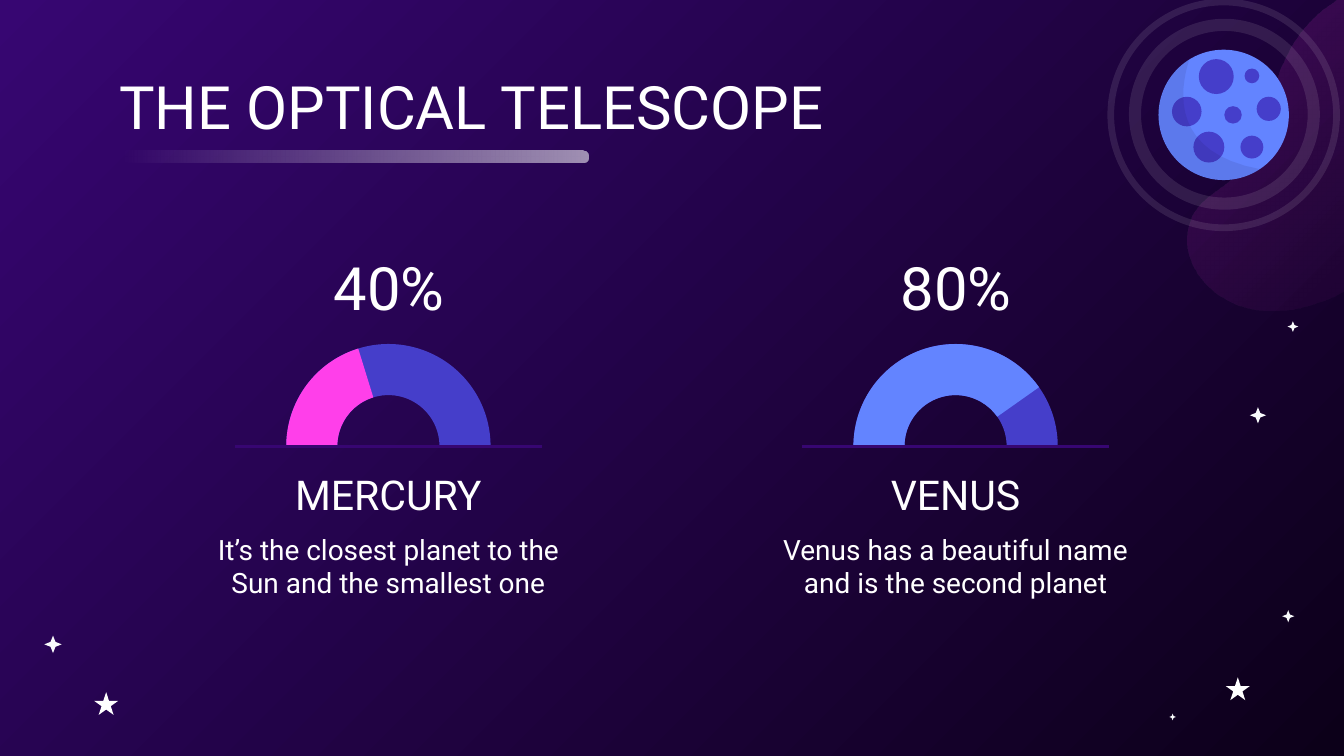
from lxml import etree
from pptx import Presentation
from pptx.dml.color import RGBColor
from pptx.enum.shapes import MSO_CONNECTOR, MSO_SHAPE
from pptx.enum.text import MSO_ANCHOR, PP_ALIGN
from pptx.oxml.ns import qn
from pptx.util import Emu, Pt

# Lengths are in px, 100 to the inch
EMU_PER_PX = 9144
WIDTH, HEIGHT = 1000, 562.5
INSET = 10
CURVE_STEPS = 16

FONT = "Roboto"
WHITE = RGBColor(0xFF, 0xFF, 0xFF)
STAR_WHITE = RGBColor(0xF9, 0xFB, 0xFC)
NIGHT = RGBColor(0x0C, 0x00, 0x19)
PURPLE = RGBColor(0x37, 0x06, 0x72)
INDIGO = RGBColor(0x45, 0x3E, 0xCA)
BLUE = RGBColor(0x63, 0x84, 0xFF)
PINK = RGBColor(0xFF, 0x3F, 0xEA)

OVAL, DONUT = MSO_SHAPE.OVAL, MSO_SHAPE.DONUT
STAR_4, STAR_5 = MSO_SHAPE.STAR_4_POINT, MSO_SHAPE.STAR_5_POINT
ARC, PILL = MSO_SHAPE.BLOCK_ARC, MSO_SHAPE.ROUNDED_RECTANGLE
STRAIGHT = MSO_CONNECTOR.STRAIGHT
LEFT, CENTER = PP_ALIGN.LEFT, PP_ALIGN.CENTER
TOP, MIDDLE, BOTTOM = MSO_ANCHOR.TOP, MSO_ANCHOR.MIDDLE, MSO_ANCHOR.BOTTOM


def px(length):
    return Emu(round(length * EMU_PER_PX))


def set_alphas(shape, alphas):
    """Give each fill colour of the shape its opacity in percent."""
    for color, alpha in zip(shape.element.iter(qn("a:srgbClr")), alphas):
        etree.SubElement(color, qn("a:alpha"), val=str(alpha * 1000))


def set_gradient(fill, colors, clockwise_angle):
    fill.gradient()
    fill.gradient_angle = (360 - clockwise_angle) % 360
    for stop, color in zip(fill.gradient_stops, colors):
        stop.color.rgb = color


def curve_points(start, curves):
    """Points along a chain of cubic Bezier curves."""
    points = [start]
    for first, second, end in curves:
        chain = (points[-1], first, second, end)
        for step in range(1, CURVE_STEPS + 1):
            t = step / CURVE_STEPS
            u = 1 - t
            weights = (u ** 3, 3 * u * u * t, 3 * u * t * t, t ** 3)
            points.append(tuple(
                sum(w * p[axis] for w, p in zip(weights, chain))
                for axis in (0, 1)))
    return points


class SlideBuilder:
    def __init__(self, slide, font):
        self.slide = slide
        self.font = font

    def finish(self, shape, color, alpha=None):
        shape.shadow.inherit = False
        shape.line.fill.background()
        if color is not None:
            shape.fill.solid()
            shape.fill.fore_color.rgb = color
        if alpha is not None:
            set_alphas(shape, [alpha])
        return shape

    def shape(self, kind, box, color=None, adjust=(), alpha=None):
        shape = self.slide.shapes.add_shape(kind, *map(px, box))
        for index, value in enumerate(adjust):
            shape.adjustments[index] = value
        return self.finish(shape, color, alpha)

    def outline(self, start, curves, color=None, alpha=None):
        points = [(px(x), px(y)) for x, y in curve_points(start, curves)]
        builder = self.slide.shapes.build_freeform(*points[0], scale=1.0)
        builder.add_line_segments(points[1:], close=True)
        return self.finish(builder.convert_to_shape(), color, alpha)

    def text(self, words, box, size, align=CENTER, anchor=TOP):
        frame = self.slide.shapes.add_textbox(*map(px, box)).text_frame
        frame.word_wrap = True
        frame.vertical_anchor = anchor
        frame.margin_left = frame.margin_right = px(INSET)
        frame.margin_top = frame.margin_bottom = px(INSET)
        para = frame.paragraphs[0]
        para.text = words
        para.alignment = align
        para.font.name = self.font
        para.font.size = Pt(size)
        para.font.color.rgb = WHITE

    def line(self, start, end, color, points):
        line = self.slide.shapes.add_connector(
            STRAIGHT, *map(px, (*start, *end)))
        line.line.color.rgb = color
        line.line.width = Pt(points)
        etree.SubElement(line.element.spPr, qn("a:effectLst"))


def add_planet(page):
    # Nebula behind the planet
    nebula = page.outline((1030, -10), [
        ((1028, -10), (1026, -10), (1023, -10)),
        ((997, -7), (969, 15), (956, 45)),
        ((942, 74), (941, 110), (919, 131)),
        ((909, 141), (896, 146), (889, 158)),
        ((878, 177), (886, 200), (899, 212)),
        ((912, 225), (929, 231), (947, 231)),
        ((974, 231), (1004, 218), (1028, 197)),
        ((1051, 177), (1070, 150), (1082, 120)),
        ((1103, 62), (1085, -10), (1030, -10)),
    ])
    set_gradient(nebula.fill, (PINK, PINK), 45)
    set_alphas(nebula, (17, 0))

    # Planet and its two rings
    page.shape(OVAL, (862, 37, 97, 97), BLUE)
    for left, top, size, thickness in ((824, -1, 173, 5), (840, 14, 142, 9)):
        page.shape(DONUT, (left, top, size, size), WHITE,
                   [thickness / size], alpha=10)

    # Craters
    for left, top, size in ((888, 98, 23), (892, 44, 26), (911, 79, 13),
                            (935, 72, 18), (872, 72, 22), (926, 51, 11),
                            (923, 101, 17)):
        page.shape(OVAL, (left, top, size, size), INDIGO)

    # Shaded side
    page.outline((885, 44), [
        ((871, 52), (862, 68), (862, 85)),
        ((862, 112), (884, 134), (911, 134)),
        ((921, 134), (930, 131), (938, 126)),
        ((872, 114), (877, 69), (885, 44)),
    ], NIGHT, alpha=8)


def add_stars(page):
    for left, top, size in ((930, 303, 12), (958, 239, 8), (870, 531, 5),
                            (954, 454, 9), (33, 473, 13)):
        page.shape(STAR_4, (left, top, size, size), STAR_WHITE, [0.2])
    for left, top in ((912, 504), (70, 515)):
        page.shape(STAR_5, (left, top, 18, 17), WHITE)


def add_gauge(page, center, percent, end_degrees, color, name, description):
    page.text(percent, (center - 125, 184, 251, 58), 32, anchor=MIDDLE)
    page.text(name, (center - 156, 338, 312, 58), 22, anchor=BOTTOM)
    page.text(description, (center - 156, 386, 312, 65), 15)
    # Angles are in units of 100000/60000 degree
    for end, arc_color in ((0, INDIGO), (end_degrees, color)):
        page.shape(ARC, (center - 76, 256, 152, 152), arc_color,
                   [180 * 0.6, end * 0.6, 0.25])
    page.line((center - 114, 332), (center + 114, 332), PURPLE, 1.5)


def main():
    deck = Presentation()
    deck.slide_width, deck.slide_height = px(WIDTH), px(HEIGHT)
    slide = deck.slides.add_slide(deck.slide_layouts[6])
    set_gradient(slide.background.fill, (NIGHT, PURPLE), 225)
    page = SlideBuilder(slide, FONT)

    add_planet(page)
    add_stars(page)

    # Title and its fading underline
    page.text("THE OPTICAL TELESCOPE", (79, 42, 843, 65), 32, LEFT)
    underline = page.shape(PILL, (90, 112, 348, 9), adjust=[0.5])
    set_gradient(underline.fill, (WHITE, WHITE), 0)
    set_alphas(underline, (0, 56))

    # Gauges
    add_gauge(page, 289, "40%", 252.81, PINK, "MERCURY",
              "It’s the closest planet to the Sun and the smallest one")
    add_gauge(page, 711, "80%", 324.74, BLUE, "VENUS",
              "Venus has a beautiful name and is the second planet")

    deck.save("out.pptx")


if __name__ == "__main__":
    main()
